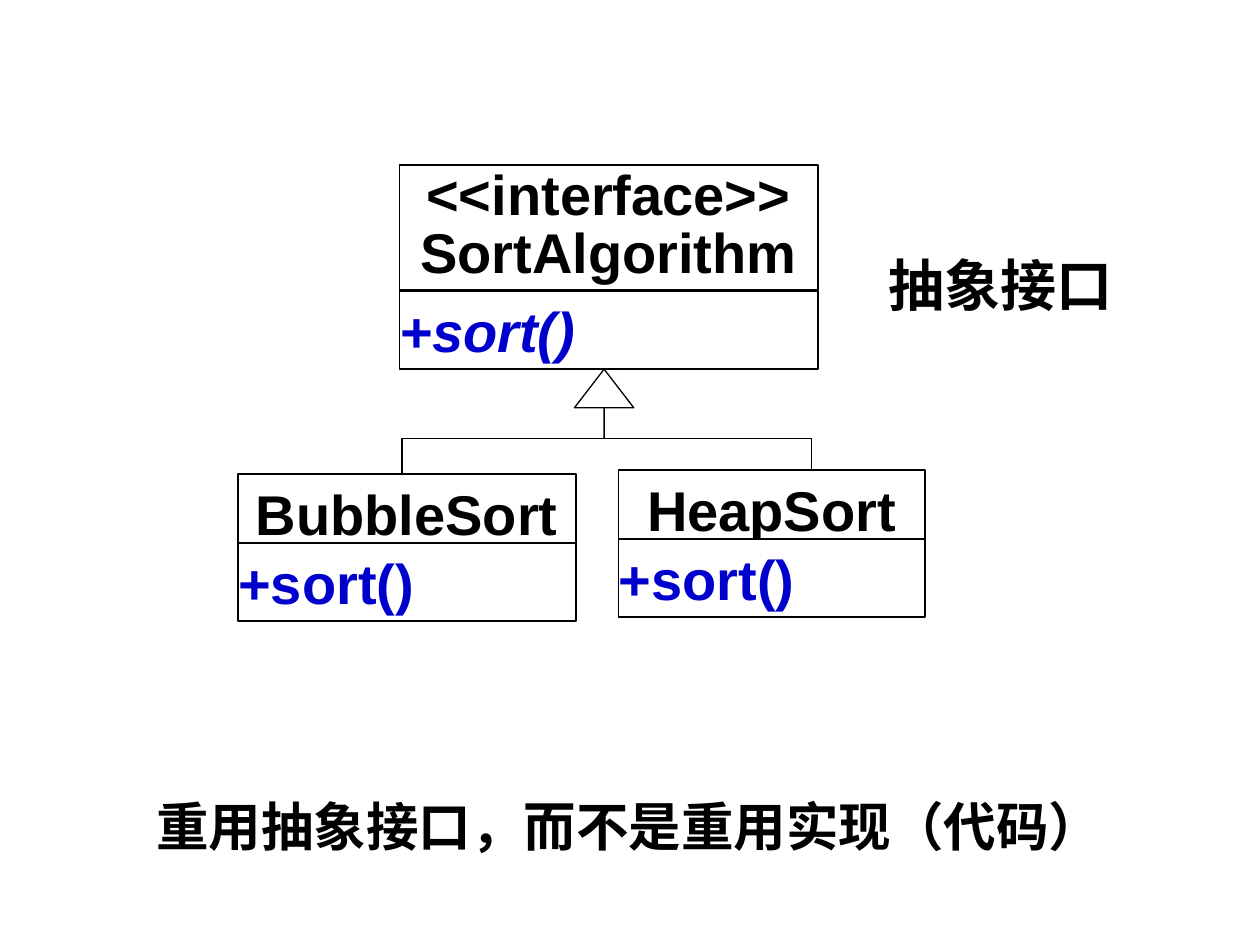
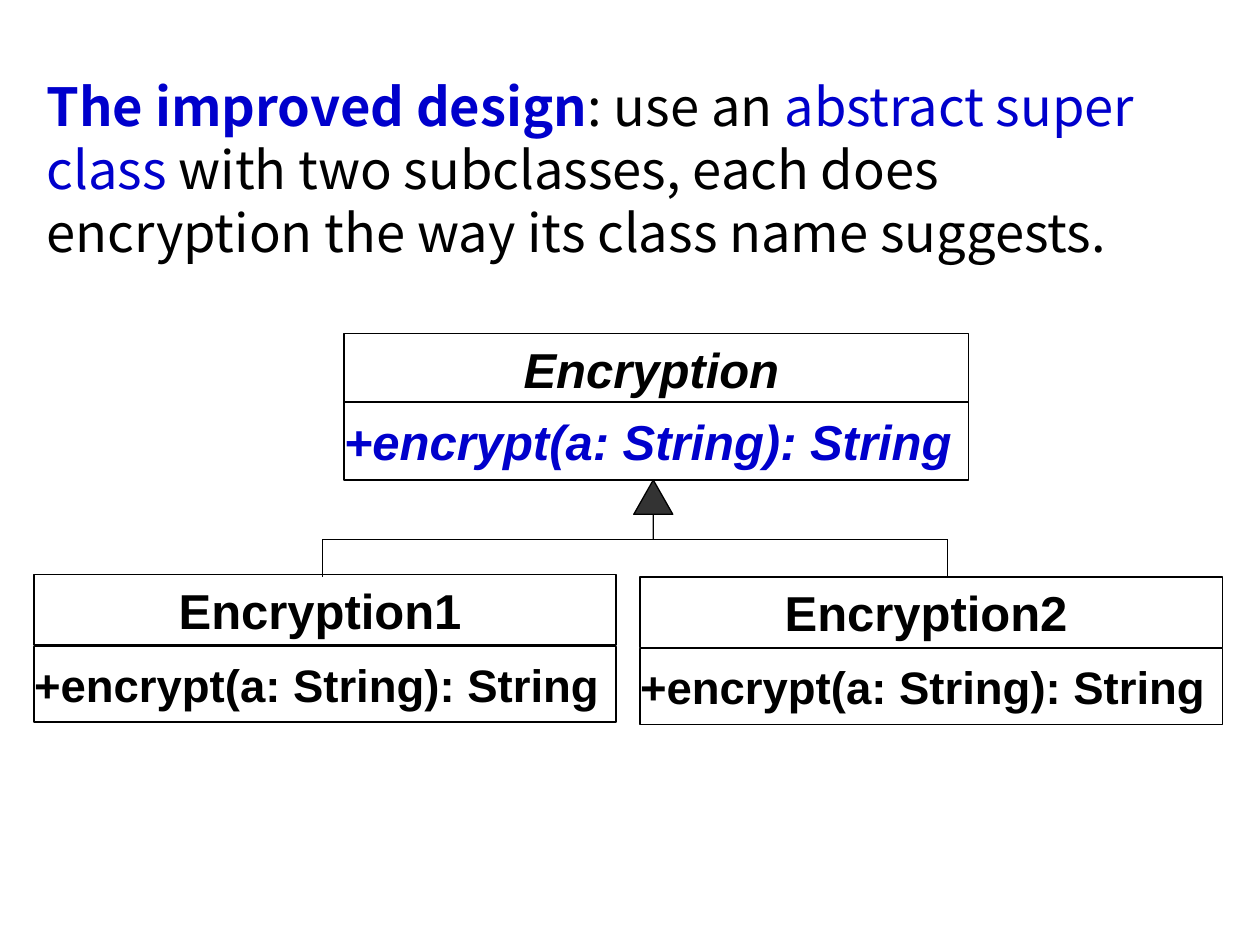
from lxml import etree
from pptx import Presentation
from pptx.dml.color import RGBColor
from pptx.enum import shapes, text
from pptx.oxml.ns import qn
from pptx.util import Inches, Pt

BLACK, BLUE, WHITE, DARK = "000000", "0000CC", "FFFFFF", "333333"
CLASS_FONT, PROSE_FONT = "Arial", "Noto Sans CJK SC"
CENTER, LEFT = text.PP_ALIGN.CENTER, text.PP_ALIGN.LEFT


def rgb(value):
    return RGBColor.from_string(value)


def format_run(run, size, font, color=BLACK, bold=True, italic=False):
    run.font.size = Pt(size)
    run.font.name = font
    run.font.bold = bold
    run.font.italic = italic
    run.font.color.rgb = rgb(color)
    east_asian = etree.SubElement(run.font._element, qn("a:ea"))
    east_asian.set("typeface", font)


def outline(shape, weight):
    shape.line.color.rgb = rgb(BLACK)
    shape.line.width = Pt(weight)


def add_compartment(slide, left, top, width, height, lines, size, *,
                    color=BLACK, italic=False, align=CENTER, weight=1.0,
                    inset=0.03, right_inset=0.0, spacing=1.0, wrap=True):
    """Draw one bordered part of a class box: its name or its methods."""
    box = slide.shapes.add_shape(shapes.MSO_SHAPE.RECTANGLE, Inches(left), Inches(top),
                                 Inches(width), Inches(height))
    box.shadow.inherit = False
    box.fill.solid()
    box.fill.fore_color.rgb = rgb(WHITE)
    outline(box, weight)
    frame = box.text_frame
    frame.margin_left, frame.margin_right = 0, Inches(right_inset)
    frame.margin_top = frame.margin_bottom = Inches(inset)
    frame.vertical_anchor = text.MSO_ANCHOR.MIDDLE
    frame.word_wrap = wrap
    frame.text = lines
    for paragraph in frame.paragraphs:
        paragraph.alignment = align
        paragraph.line_spacing = spacing
        for run in paragraph.runs:
            format_run(run, size, CLASS_FONT, color, italic=italic)


def add_line(slide, x1, y1, x2, y2):
    line = slide.shapes.add_connector(shapes.MSO_CONNECTOR.STRAIGHT, Inches(x1), Inches(y1),
                                      Inches(x2), Inches(y2))
    outline(line, 0.75)
    etree.SubElement(line._element.spPr, qn("a:effectLst"))


def add_branches(slide, left, right, top, bottom):
    """Draw the bar that joins two subclasses, with a drop to each."""
    add_line(slide, left, top, right, top)
    for x in (left, right):
        add_line(slide, x, top, x, bottom)


def add_inheritance_arrow(slide, left, top, width, height, head, fill=None):
    arrow = slide.shapes.add_shape(shapes.MSO_SHAPE.UP_ARROW, Inches(left), Inches(top),
                                   Inches(width), Inches(height))
    arrow.shadow.inherit = False
    arrow.adjustments[0], arrow.adjustments[1] = 0, head
    if fill:
        arrow.fill.solid()
        arrow.fill.fore_color.rgb = rgb(fill)
    else:
        arrow.fill.background()
    outline(arrow, 0.75)


def add_textbox(slide, left, top, width, height, wrap=True):
    box = slide.shapes.add_textbox(Inches(left), Inches(top), Inches(width), Inches(height))
    box.text_frame.word_wrap = wrap
    return box.text_frame


def add_conclusion(slide, wording):
    title, body = slide.placeholders
    title._element.getparent().remove(title._element)
    body.left, body.top, body.width, body.height = map(Inches, (0.97, 6.31, 8.04, 0.59))
    body.text_frame.text = wording
    paragraph = body.text_frame.paragraphs[0]
    paragraph.alignment = CENTER
    paragraph.line_spacing = 0.9
    paragraph.space_before = Pt(0)
    properties = paragraph._p.get_or_add_pPr()
    properties.set("marL", "0")
    properties.set("indent", "0")
    etree.SubElement(properties, qn("a:buNone"))
    format_run(paragraph.runs[0], 30, PROSE_FONT)


def build_sort_slide(prs):
    slide = prs.slides.add_slide(prs.slide_layouts[1])
    add_conclusion(slide, "重用抽象接口，而不是重用实现（代码）")

    add_branches(slide, 3.19, 6.44, 3.48, 4.03)
    add_inheritance_arrow(slide, 4.56, 2.93, 0.47, 0.55, 0.65)

    add_compartment(slide, 3.17, 1.31, 3.32, 0.99, "<<interface>>\nSortAlgorithm", 32,
                    spacing=0.85)
    add_compartment(slide, 3.17, 2.31, 3.32, 0.62, "+sort()", 32,
                    color=BLUE, italic=True, align=LEFT)
    for name, left, top, width in (("BubbleSort", 1.89, 3.76, 2.68),
                                   ("HeapSort", 4.91, 3.73, 2.43)):
        add_compartment(slide, left, top, width, 0.62, name, 32)
        add_compartment(slide, left, top + 0.55, width, 0.62, "+sort()", 32,
                        color=BLUE, align=LEFT)

    label = add_textbox(slide, 6.95, 1.94, 1.99, 0.63, wrap=False)
    label.text = "抽象接口"
    format_run(label.paragraphs[0].runs[0], 32, PROSE_FONT)


def build_encryption_slide(prs):
    slide = prs.slides.add_slide(prs.slide_layouts[6])
    name_style = dict(size=28, weight=0.75, inset=0.04, right_inset=0.08)
    method_style = dict(lines="+encrypt(a: String): String", align=LEFT, weight=0.75)

    add_compartment(slide, 2.73, 2.65, 4.96, 0.56, "Encryption", italic=True, **name_style)
    add_compartment(slide, 2.73, 3.19, 4.96, 0.62, size=28, color=BLUE, italic=True,
                    inset=0, wrap=False, **method_style)
    for name, left, top in (("Encryption1", 0.27, 4.56), ("Encryption2", 5.08, 4.58)):
        add_compartment(slide, left, top, 4.62, 0.56, name, **name_style)
        add_compartment(slide, left, top + 0.57, 4.62, 0.6, size=26, inset=0.08,
                        **method_style)
    add_inheritance_arrow(slide, 5.03, 3.81, 0.31, 0.47, 0.88, DARK)
    add_branches(slide, 2.56, 7.52, 4.28, 4.58)

    statement = add_textbox(slide, 0.27, 0.54, 9.3, 1.62).paragraphs[0]
    statement.line_spacing = Pt(36)
    for wording, color, bold in (
        ("The improved design", BLUE, True),
        (": use an ", BLACK, False),
        ("abstract super class", BLUE, False),
        (" with two subclasses, each does encryption the way its class name suggests.",
         BLACK, False),
    ):
        run = statement.add_run()
        run.text = wording
        format_run(run, 30, PROSE_FONT, color, bold)


def main():
    prs = Presentation()
    prs.slide_width, prs.slide_height = Inches(10), Inches(7.5)
    build_sort_slide(prs)
    build_encryption_slide(prs)
    prs.save("out.pptx")


if __name__ == "__main__":
    main()
